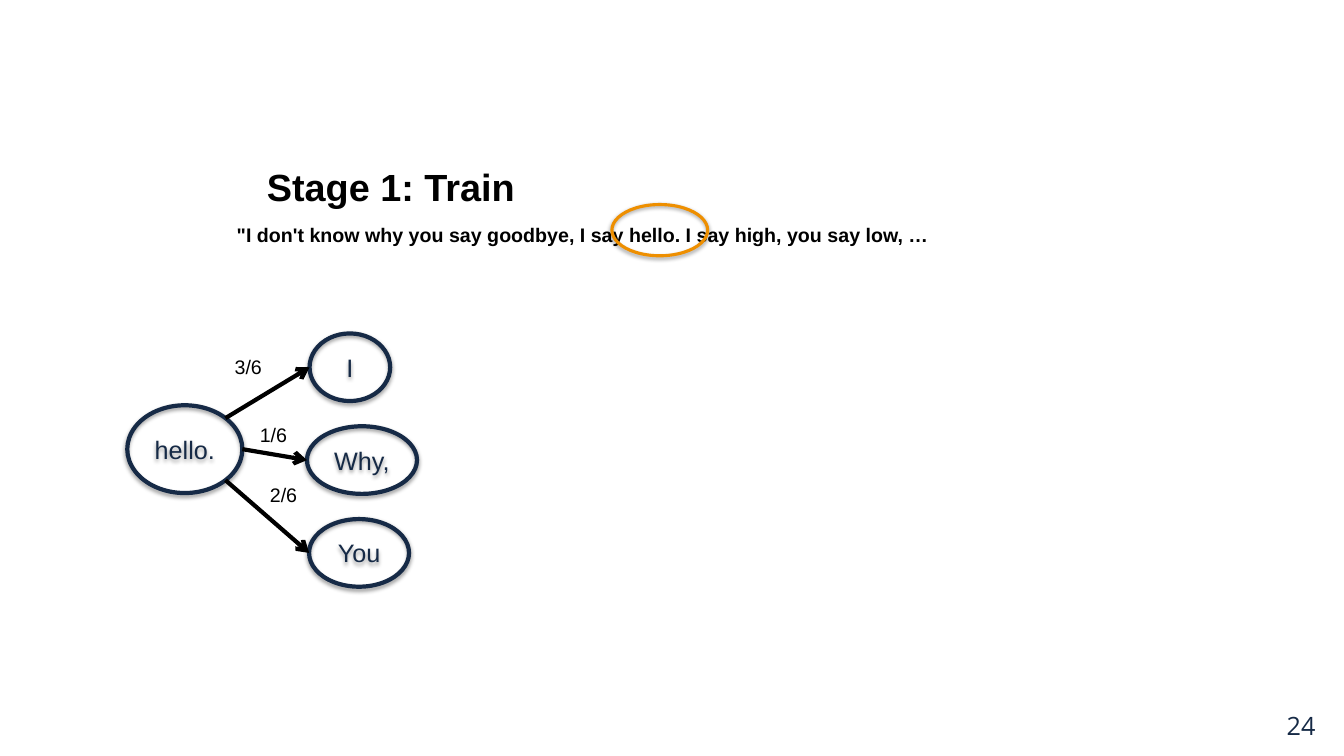
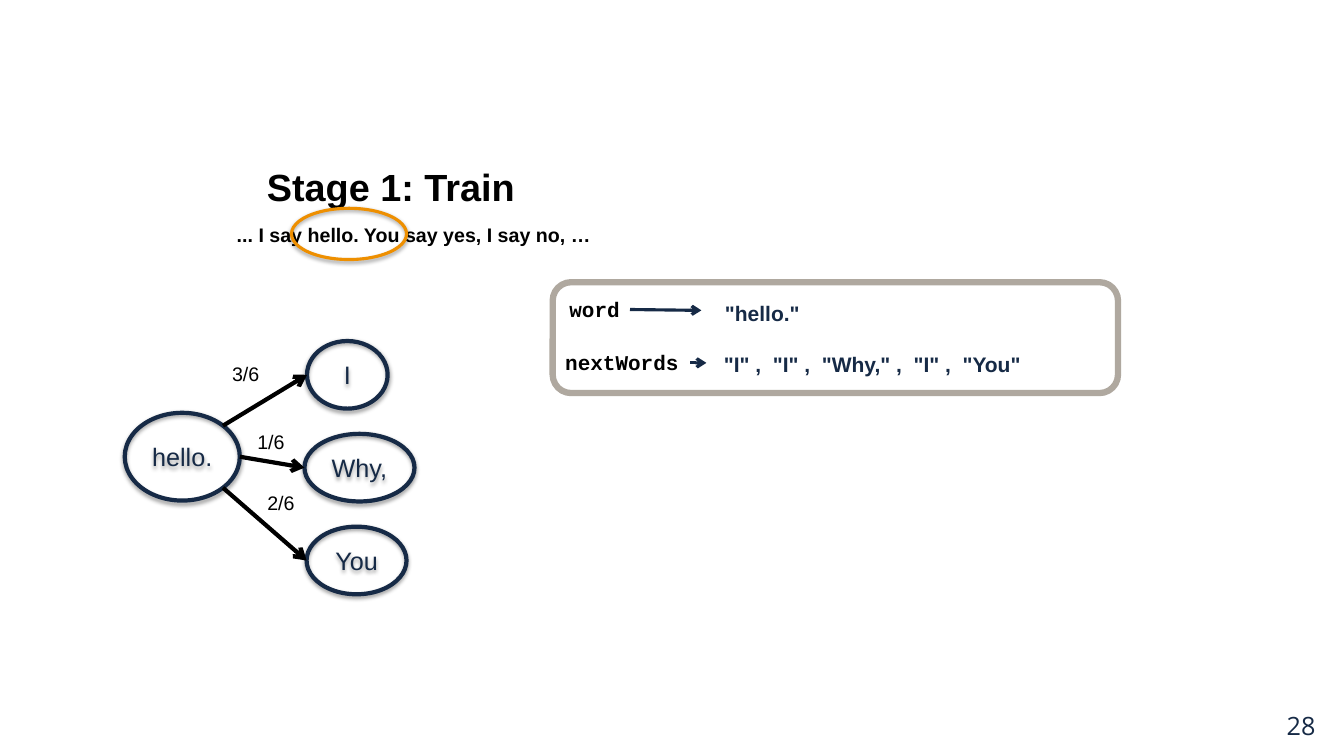
import math

from lxml import etree
from pptx import Presentation, util as u
from pptx.dml.color import RGBColor
from pptx.enum import shapes, text
from pptx.oxml import ns

BLACK = RGBColor(0x00, 0x00, 0x00)
NAVY = RGBColor(0x16, 0x2A, 0x46)
ORANGE = RGBColor(0xEE, 0x8F, 0x00)
TAUPE = RGBColor(0xAF, 0xA8, 0x9F)

COLUMNS, ROWS = 160, 90
OVAL = shapes.MSO_SHAPE.OVAL
ROUNDED = shapes.MSO_SHAPE.ROUNDED_RECTANGLE

# The word graph, measured from the top left corner of the start word.
START_WIDTH, START_HEIGHT = 13.7, 10.45
NEXT_TOP, NEXT_PITCH, NEXT_HEIGHT = -8.55, 11.05, 8.05
# word, left, width, arrow's start angle, odds, odds' left and top
NEXT_WORDS = [
    ("I", 21.7, 9.6, -45, "3/6", 11.6, -6.6),
    ("Why,", 21.4, 13.1, 0, "1/6", 14.6, 1.45),
    ("You", 21.65, 11.9, 45, "2/6", 15.8, 8.65),
]


def write(frame, content, font="Arial", size=14, color=BLACK, bold=False,
          align=text.PP_ALIGN.LEFT, anchor=text.MSO_ANCHOR.TOP, wrap=True):
    frame.word_wrap = wrap
    frame.vertical_anchor = anchor
    paragraph = frame.paragraphs[0]
    paragraph.alignment = align
    run = paragraph.add_run()
    run.text = content
    run.font.name = font
    run.font.size = u.Pt(size)
    run.font.bold = bold
    run.font.color.rgb = color


class Deck:
    """Holds the shared style and the current slide; lengths are grid units."""

    def __init__(self):
        self.presentation = Presentation()
        self.presentation.slide_width = u.Inches(13.33)
        self.presentation.slide_height = u.Inches(7.5)
        self.slide = None

    def x(self, columns):
        return round(self.presentation.slide_width * columns / COLUMNS)

    def y(self, rows):
        return round(self.presentation.slide_height * rows / ROWS)

    def box(self, left, top, width, height):
        return self.x(left), self.y(top), self.x(width), self.y(height)

    def new_slide(self, number, quote):
        layout = self.presentation.slide_layouts[6]
        self.slide = self.presentation.slides.add_slide(layout)
        self.label(number, 152, 84, 6, 4.8, font="Open Sans", size=18, color=NAVY)
        self.label("Stage 1: Train", 30.6, 18.85, 95.9, 6.7, size=27, bold=True)
        self.label(quote, 27, 25.9, 109.6, 4.1, bold=True)

    def label(self, content, left, top, width, height, **style):
        shape = self.slide.shapes.add_textbox(*self.box(left, top, width, height))
        write(shape.text_frame, content, **style)

    def outline(self, kind, left, top, width, height, color, weight, shadow=True):
        shape = self.slide.shapes.add_shape(kind, *self.box(left, top, width, height))
        shape.fill.background()
        shape.line.color.rgb = color
        shape.line.width = u.Pt(weight)
        shape.shadow.inherit = False
        if shadow:
            effects = shape._element.spPr.find(ns.qn("a:effectLst"))
            outer = etree.SubElement(
                effects, ns.qn("a:outerShdw"), blurRad=str(u.Pt(3.1)),
                dist=str(u.Pt(1.6)), dir="5400000", rotWithShape="0")
            tint = etree.SubElement(outer, ns.qn("a:srgbClr"), val=str(BLACK))
            etree.SubElement(tint, ns.qn("a:alpha"), val="38000")
        return shape

    def ring(self, left, top, width):
        self.outline(OVAL, left, top, width, 6.1, ORANGE, 2.25)

    def node(self, content, left, top, width, height):
        shape = self.outline(OVAL, left, top, width, height, NAVY, 3)
        write(shape.text_frame, content, size=18, color=NAVY, wrap=False,
              align=text.PP_ALIGN.CENTER, anchor=text.MSO_ANCHOR.MIDDLE)

    def arrow(self, start, end, color=BLACK, weight=3):
        connector = self.slide.shapes.add_connector(
            shapes.MSO_CONNECTOR.STRAIGHT, self.x(start[0]), self.y(start[1]),
            self.x(end[0]), self.y(end[1]))
        connector.line.color.rgb = color
        connector.line.width = u.Pt(weight)
        etree.SubElement(connector.line._get_or_add_ln(), ns.qn("a:tailEnd"), type="arrow")
        etree.SubElement(connector._element.spPr, ns.qn("a:effectLst"))

    def word_graph(self, left, top):
        """Draw the start word, its followers and the odds of each."""
        self.node("hello.", left, top, START_WIDTH, START_HEIGHT)
        radius_x, radius_y = START_WIDTH / 2, START_HEIGHT / 2
        for index, (word, dx, width, angle, odds, odds_dx, odds_dy) in enumerate(NEXT_WORDS):
            word_left = left + dx
            word_top = top + NEXT_TOP + index * NEXT_PITCH
            self.node(word, word_left, word_top, width, NEXT_HEIGHT)
            turn = math.radians(angle)
            start = (left + radius_x * (1 + math.cos(turn)),
                     top + radius_y * (1 + math.sin(turn)))
            self.arrow(start, (word_left, word_top + NEXT_HEIGHT / 2))
            self.label(odds, left + odds_dx, top + odds_dy, 5.65, 4.1, wrap=False)

    def variable(self, name, name_box, value, value_box, start, end, align):
        """Show a variable's name with an arrow to its value."""
        self.label(name, *name_box, font="Courier New", size=15, bold=True, wrap=False)
        self.label(value, *value_box, size=15, color=NAVY, bold=True,
                   align=align, anchor=text.MSO_ANCHOR.MIDDLE)
        self.arrow(start, end, NAVY, 2.25)


def main():
    deck = Deck()

    deck.new_slide("24", "\"I don't know why you say goodbye, I say hello. "
                         "I say high, you say low, …")
    deck.word_graph(15.15, 48.25)
    deck.ring(72.85, 24.35, 11.4)

    deck.new_slide("28", "... I say hello. You say yes, I say no, …")
    deck.outline(ROUNDED, 65.8, 33.6, 67.3, 13.2, TAUPE, 4.5, shadow=False)
    deck.variable("word", (66.6, 34.7, 8.5, 4.2),
                  '"hello."', (84.7, 34.55, 12.1, 5.4),
                  (75, 36.85), (83.5, 36.95), text.PP_ALIGN.CENTER)
    deck.variable("nextWords", (66.1, 41.05, 16.1, 4.2),
                  '"I" ,  "I" ,  "Why," ,  "I" ,  "You"', (85, 40.7, 46.5, 5.4),
                  (82.2, 43.2), (84.1, 43.2), text.PP_ALIGN.LEFT)
    deck.ring(34.7, 24.8, 13.7)
    deck.word_graph(14.85, 49.15)

    deck.presentation.save("out.pptx")


if __name__ == "__main__":
    main()
